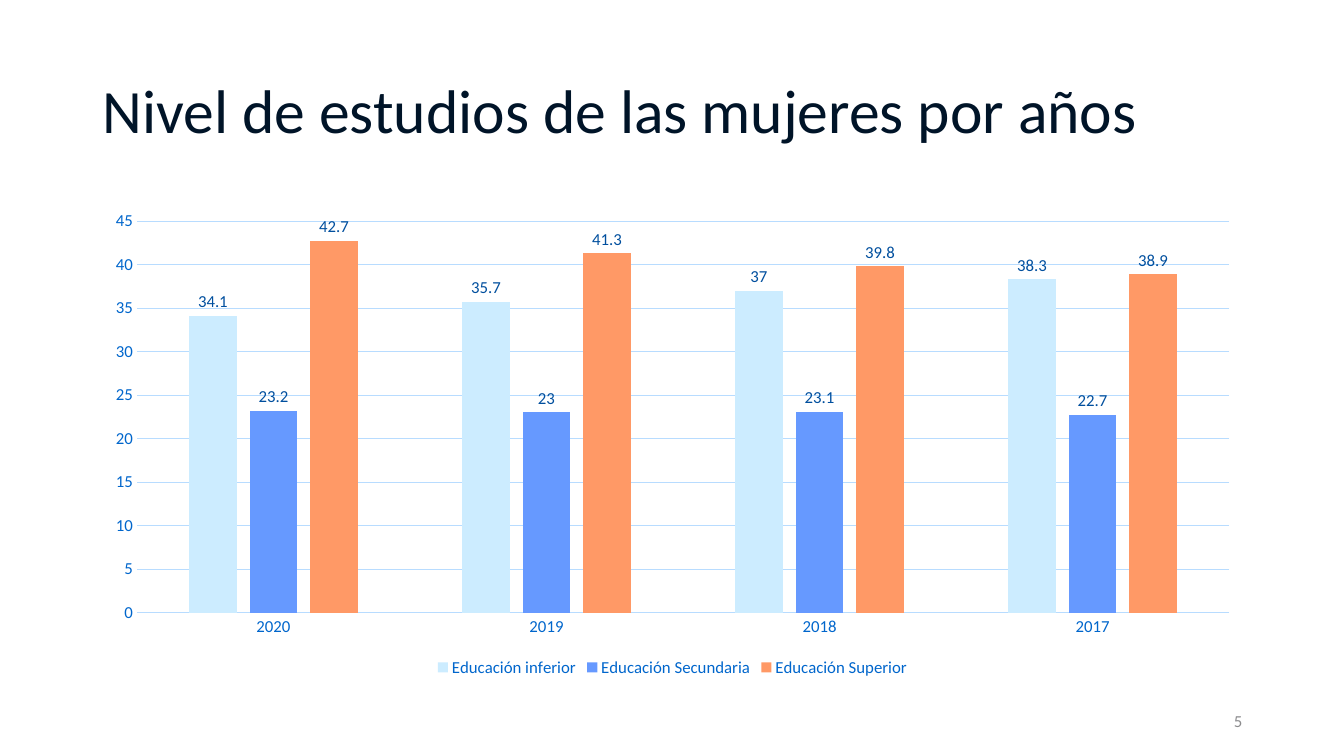
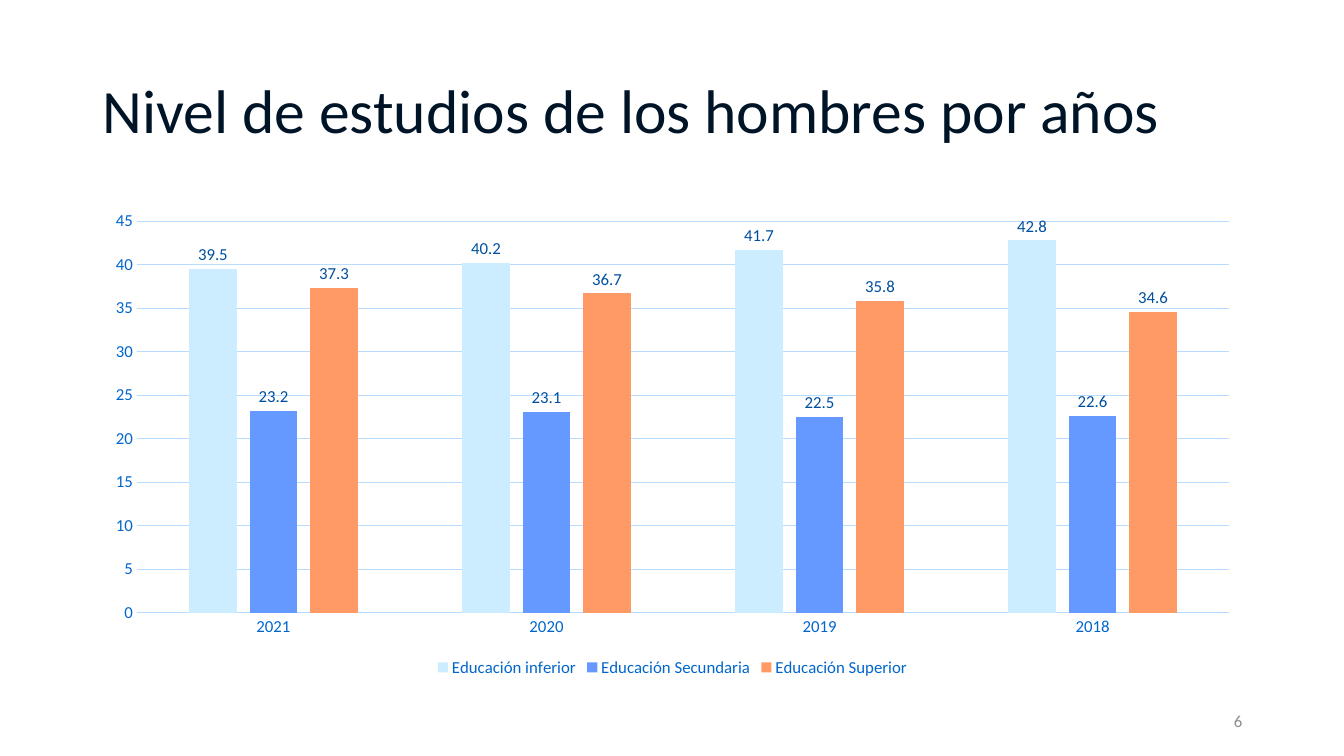
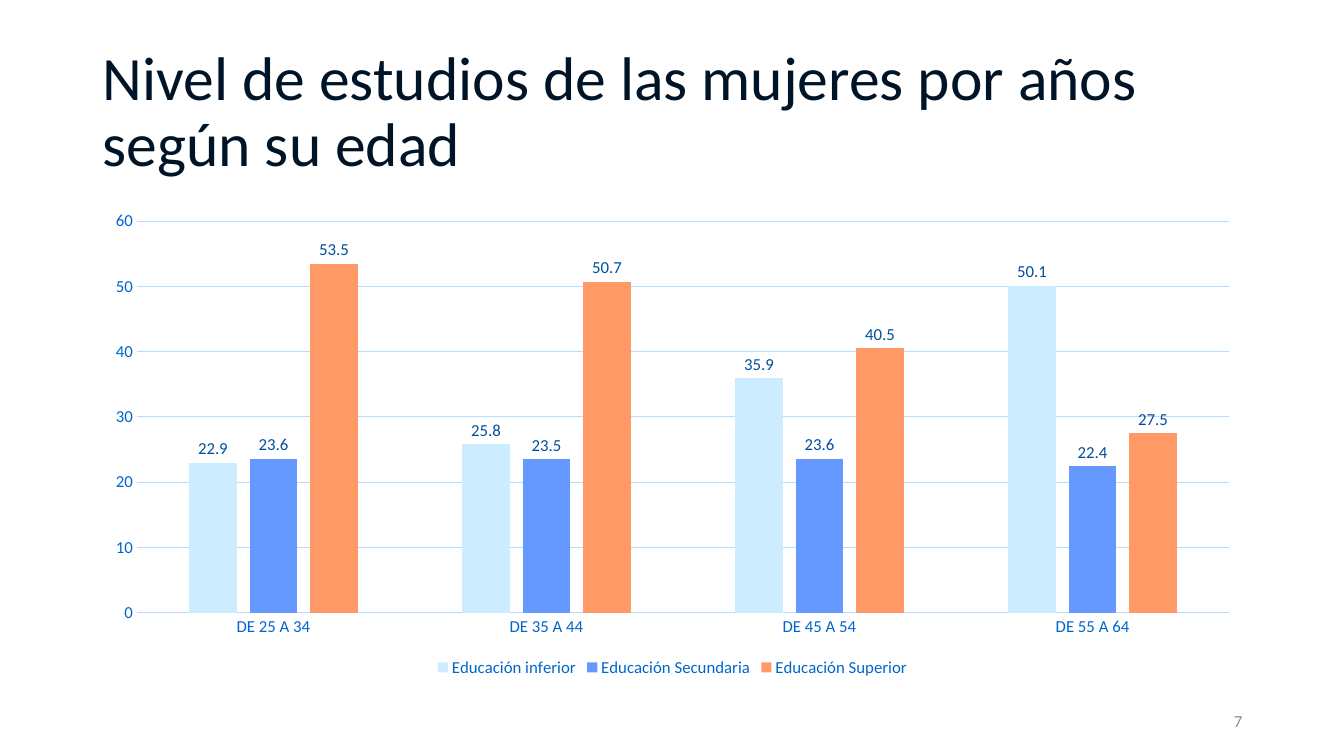
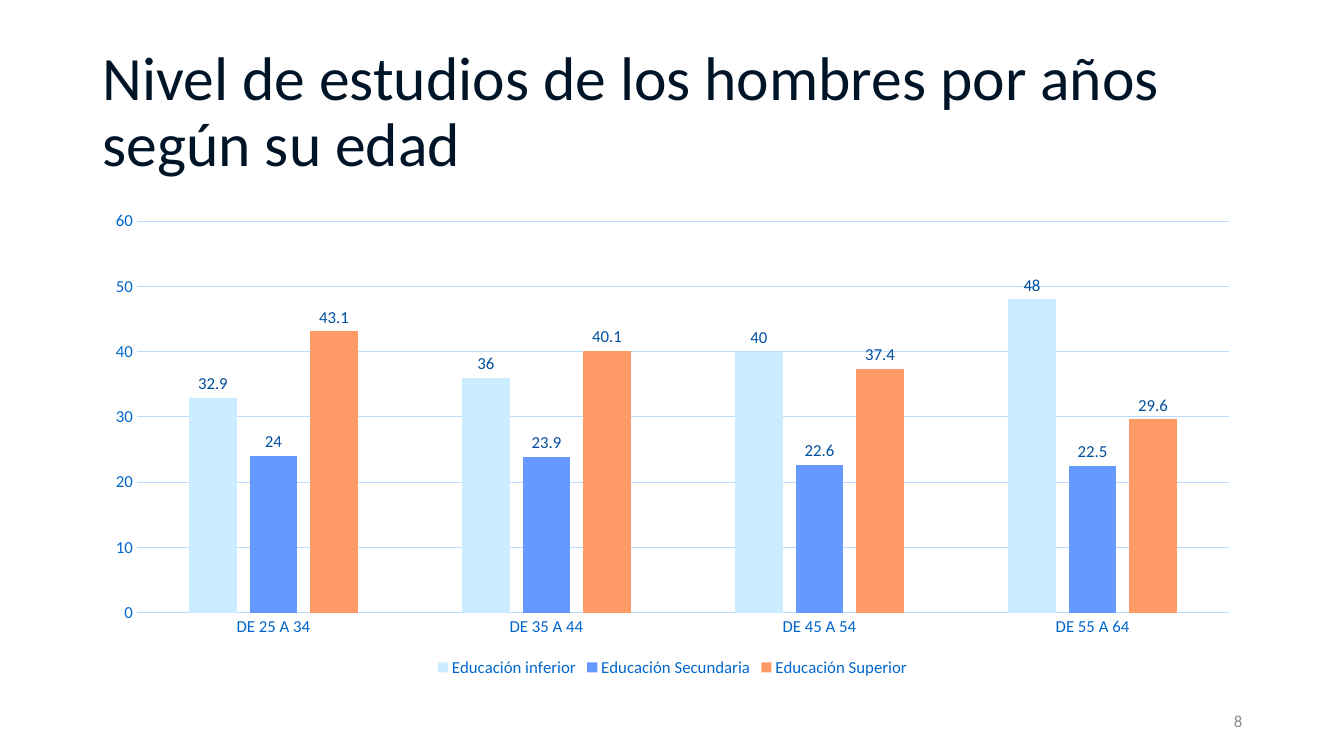
from pptx import Presentation
from pptx.chart.data import CategoryChartData
from pptx.dml.color import RGBColor
from pptx.enum.chart import XL_CHART_TYPE, XL_LABEL_POSITION, XL_LEGEND_POSITION, XL_TICK_MARK
from pptx.enum.text import MSO_ANCHOR, PP_ALIGN
from pptx.util import Inches, Pt

COLUMN = XL_CHART_TYPE.COLUMN_CLUSTERED
OUTER = XL_LABEL_POSITION.OUTSIDE_END
BOTTOM = XL_LEGEND_POSITION.BOTTOM
NO_TICK = XL_TICK_MARK.NONE
MIDDLE = MSO_ANCHOR.MIDDLE
LEFT, RIGHT = PP_ALIGN.LEFT, PP_ALIGN.RIGHT

WIDE, HIGH = 13.33, 7.5
EDGE = 0.92
SPAN = 11.5
FONT = "Calibri"
HUES = {
    "title": "001428",
    "axis": "0066CC",
    "grid": "B8DCFF",
    "label": "004F9E",
    "number": "8C8C8E",
}
LEVELS = {
    "Educación inferior": "CCECFF",
    "Educación Secundaria": "6699FF",
    "Educación Superior": "FF9966",
}
BARS = {"gap_width": 219, "overlap": -27, "vary_by_categories": False}
TICKS = {"major_tick_mark": NO_TICK, "minor_tick_mark": NO_TICK}
LABELS = {"show_value": True, "position": OUTER}
LEGEND = {"position": BOTTOM, "include_in_layout": False}

FIRST = 5
AGES = ["DE 25 A 34", "DE 35 A 44", "DE 45 A 54", "DE 55 A 64"]
# Title, categories, one row of values per level, axis top, axis step
PAGES = [
    ("Nivel de estudios de las mujeres por años",
     ["2020", "2019", "2018", "2017"],
     [(34.1, 35.7, 37, 38.3), (23.2, 23, 23.1, 22.7), (42.7, 41.3, 39.8, 38.9)],
     45, 5),
    ("Nivel de estudios de los hombres por años",
     ["2021", "2020", "2019", "2018"],
     [(39.5, 40.2, 41.7, 42.8), (23.2, 23.1, 22.5, 22.6), (37.3, 36.7, 35.8, 34.6)],
     45, 5),
    ("Nivel de estudios de las mujeres por años según su edad",
     AGES,
     [(22.9, 25.8, 35.9, 50.1), (23.6, 23.5, 23.6, 22.4), (53.5, 50.7, 40.5, 27.5)],
     60, 10),
    ("Nivel de estudios de los hombres por años según su edad",
     AGES,
     [(32.9, 36, 40, 48), (24, 23.9, 22.6, 22.5), (43.1, 40.1, 37.4, 29.6)],
     60, 10),
]


def rgb(code):
    return RGBColor.from_string(code)


def apply(item, values):
    for name, value in values.items():
        setattr(item, name, value)


def set_font(font, size, hue):
    apply(font, {"name": FONT, "size": Pt(size)})
    font.color.rgb = rgb(HUES[hue])


def set_line(line):
    line.width = Pt(0.75)
    line.color.rgb = rgb(HUES["grid"])


def add_text(slide, text, area, size, hue, align=LEFT, lead=1.0):
    box = slide.shapes.add_textbox(*map(Inches, area))
    apply(box.text_frame, {"word_wrap": True, "vertical_anchor": MIDDLE, "text": text})
    para = box.text_frame.paragraphs[0]
    apply(para, {"alignment": align, "line_spacing": lead})
    set_font(para.runs[0].font, size, hue)


def style_axes(chart, top, step):
    for axis in (chart.category_axis, chart.value_axis):
        apply(axis, TICKS)
        set_font(axis.tick_labels.font, 12, "axis")
    set_line(chart.category_axis.format.line)
    scale = chart.value_axis
    apply(scale, {"minimum_scale": 0, "maximum_scale": top, "major_unit": step})
    scale.format.line.fill.background()
    set_line(scale.major_gridlines.format.line)


def add_bars(slide, names, rows, top, step):
    data = CategoryChartData()
    data.categories = names
    for level, row in zip(LEVELS, rows):
        data.add_series(level, row)
    area = map(Inches, (EDGE, 2, SPAN, 4.76))
    chart = slide.shapes.add_chart(COLUMN, *area, data).chart
    set_font(chart.font, 10, "title")
    apply(chart, {"has_title": False, "has_legend": True})
    apply(chart.legend, LEGEND)
    set_font(chart.legend.font, 12, "axis")
    style_axes(chart, top, step)
    plot = chart.plots[0]
    apply(plot, BARS)
    for series, code in zip(plot.series, LEVELS.values()):
        series.format.fill.solid()
        series.format.fill.fore_color.rgb = rgb(code)
        apply(series.data_labels, LABELS)
        set_font(series.data_labels.font, 12, "label")


def main():
    deck = Presentation()
    apply(deck, {"slide_width": Inches(WIDE), "slide_height": Inches(HIGH)})
    blank = deck.slide_layouts[6]
    for number, (title, names, rows, top, step) in enumerate(PAGES, FIRST):
        slide = deck.slides.add_slide(blank)
        add_text(slide, title, (EDGE, 0.4, SPAN, 1.45), 44, "title", lead=0.9)
        add_bars(slide, names, rows, top, step)
        add_text(slide, str(number), (EDGE + SPAN - 3, 6.95, 3, 0.4), 12, "number", RIGHT)
    deck.save("out.pptx")


if __name__ == "__main__":
    main()
